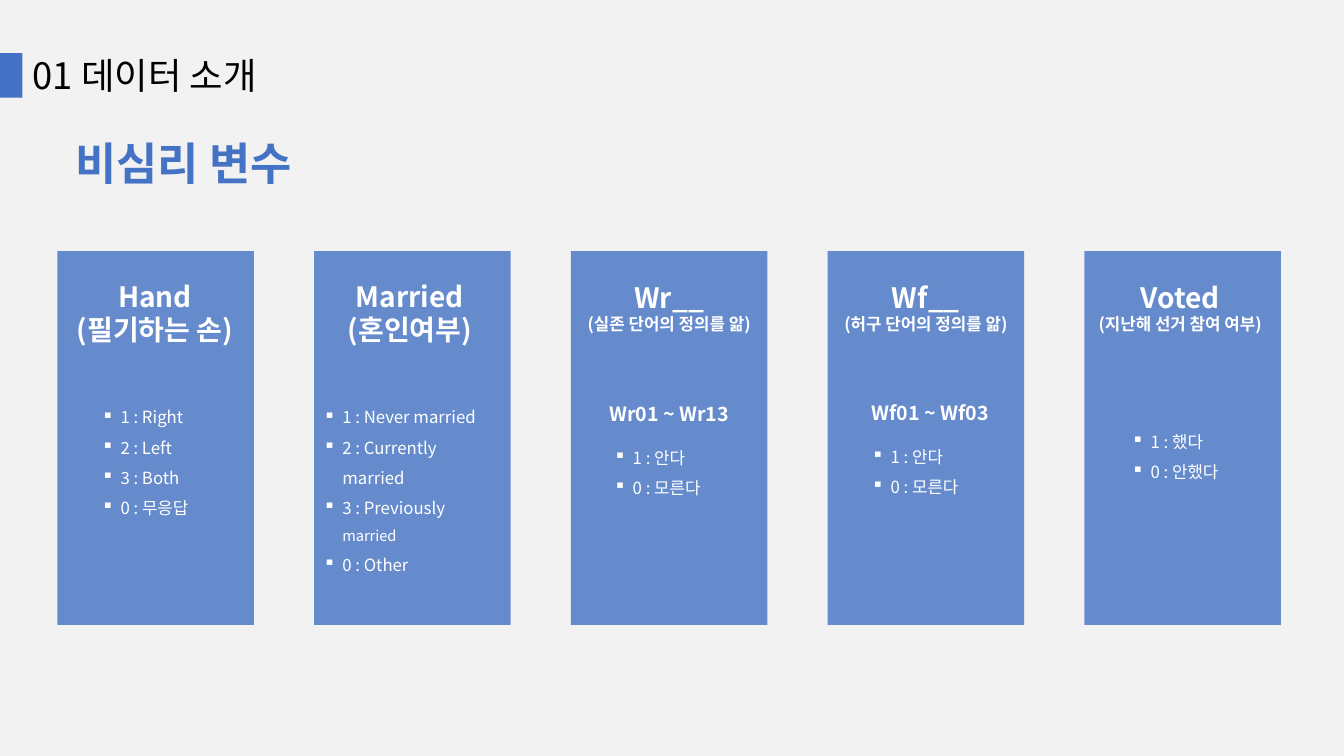
import pptx
import pptx.dml.color
import pptx.enum.shapes
import pptx.enum.text
import pptx.oxml
import pptx.oxml.ns
import pptx.util
from lxml import etree

Pt = pptx.util.Pt
RGBColor = pptx.dml.color.RGBColor
PP_ALIGN = pptx.enum.text.PP_ALIGN
qn = pptx.oxml.ns.qn

BLUE = RGBColor(0x44, 0x72, 0xC4)
PALE_GREY = RGBColor(0xF2, 0xF2, 0xF2)
BLACK = RGBColor(0, 0, 0)
WHITE = RGBColor(0xFF, 0xFF, 0xFF)
FONT = "Noto Sans CJK KR"

CARD_LEFT, CARD_TOP = 41, 179.3
CARD_WIDTH, CARD_HEIGHT = 140.4, 267.1
CARD_PITCH = 183.4
BULLET_INDENT = 13.5

# Boxes are (offset from the card's left, top, width, height).
VARIABLES = [
    dict(heading=["Hand", "(필기하는 손)"], note_size=20,
         heading_box=(1.4, 195.8, 136.8, 55.4),
         codes=["1 : Right", "2 : Left", "3 : Both", "0 : 무응답"],
         codes_box=(24.5, 280, 118, 93)),
    dict(heading=["Married", "(혼인여부)"], note_size=20,
         heading_box=(0, 195.8, 136.8, 55.4),
         codes=["1 : Never married", "2 : Currently married",
                ("3 : Previously ", "married"), "0 : Other"],
         codes_box=(-0.5, 280, 140.4, 93)),
    dict(heading=["Wr__", "(실존 단어의 정의를 앎)"], note_size=12,
         heading_box=(0, 196.6, 140.4, 46),
         items="Wr01 ~ Wr13", items_box=(0, 283.7, 140.4, 24.5),
         codes=["1 : 안다", "0 : 모른다"],
         codes_box=(23.6, 308.9, 113, 49)),
    dict(heading=["Wf__", "(허구 단어의 정의를 앎)"], note_size=12,
         heading_box=(0, 196.6, 140.4, 46),
         items="Wf01 ~ Wf03", items_box=(0, 283, 146.9, 24.5),
         codes=["1 : 안다", "0 : 모른다"],
         codes_box=(24.4, 308.2, 117.4, 49)),
    dict(heading=["Voted", "(지난해 선거 참여 여부)"], note_size=12,
         heading_box=(0, 196.6, 136.8, 46),
         codes=["1 : 했다", "0 : 안했다"],
         codes_box=(26.7, 297.4, 117.4, 49)),
]


def format_run(run, size, color, bold=False):
    run.font.size = Pt(size)
    run.font.bold = bold
    run.font.color.rgb = color
    run.font.name = FONT
    east_asian = etree.SubElement(run.font._element, qn("a:ea"))
    east_asian.set("typeface", FONT)


def prepare_frame(frame, text):
    frame.word_wrap = True
    frame.auto_size = pptx.enum.text.MSO_AUTO_SIZE.SHAPE_TO_FIT_TEXT
    frame.vertical_anchor = pptx.enum.text.MSO_ANCHOR.TOP
    frame.text = text


def add_block(slide, box, color, alpha=None):
    block = slide.shapes.add_shape(
        pptx.enum.shapes.MSO_SHAPE.RECTANGLE, *map(Pt, box))
    block.shadow.inherit = False
    block.line.fill.background()
    block.fill.solid()
    block.fill.fore_color.rgb = color
    if alpha is not None:
        rgb = block.fill._xPr.find(".//" + qn("a:srgbClr"))
        etree.SubElement(rgb, qn("a:alpha")).set("val", str(alpha * 1000))


def add_lines(slide, box, lines, sizes, color=WHITE, align=PP_ALIGN.CENTER):
    """Add a box of bold lines, each with its own size."""
    frame = slide.shapes.add_textbox(*map(Pt, box)).text_frame
    prepare_frame(frame, "\n".join(lines))
    for paragraph, size in zip(frame.paragraphs, sizes):
        paragraph.alignment = align
        format_run(paragraph.runs[0], size, color, bold=True)


def add_codes(slide, box, codes):
    """Add bulleted codes; the second part of a pair is set smaller."""
    frame = slide.shapes.add_textbox(*map(Pt, box)).text_frame
    parts = [(code,) if isinstance(code, str) else code for code in codes]
    prepare_frame(frame, "\n".join(part[0] for part in parts))
    for paragraph, (_, *small) in zip(frame.paragraphs, parts):
        properties = paragraph._p.get_or_add_pPr()
        properties.set("marL", str(Pt(BULLET_INDENT)))
        properties.set("indent", str(-Pt(BULLET_INDENT)))
        etree.SubElement(properties, qn("a:buChar")).set("char", "▪")
        paragraph.line_spacing = 1.5
        format_run(paragraph.runs[0], 12, WHITE)
        for text in small:
            run = paragraph.add_run()
            run.text = text
            format_run(run, 10.5, WHITE)


def set_title(slide, text):
    title = slide.shapes.title
    title.left, title.top, title.width, title.height = map(
        Pt, (16, 34.6, 480, 39))
    prepare_frame(title.text_frame, text)
    paragraph = title.text_frame.paragraphs[0]
    paragraph.alignment = PP_ALIGN.LEFT
    format_run(paragraph.runs[0], 26, BLACK)


def add_variable(slide, left, variable):
    def place(box):
        return (left + box[0], *box[1:])

    add_block(slide, (left, CARD_TOP, CARD_WIDTH, CARD_HEIGHT), BLUE, alpha=80)
    add_lines(slide, place(variable["heading_box"]), variable["heading"],
              [20, variable["note_size"]])
    if "items" in variable:
        add_lines(slide, place(variable["items_box"]), [variable["items"]], [14])
    add_codes(slide, place(variable["codes_box"]), variable["codes"])


def main():
    presentation = pptx.Presentation()
    presentation.slide_width = Pt(960)
    presentation.slide_height = Pt(540)
    slide = presentation.slides.add_slide(presentation.slide_layouts[5])
    slide.background.fill.solid()
    slide.background.fill.fore_color.rgb = PALE_GREY

    add_block(slide, (0, 38, 16, 31.7), BLUE)
    set_title(slide, "01 데이터 소개")
    add_lines(slide, (46.8, 93.6, 538.6, 46), ["비심리 변수"], [32],
              BLUE, PP_ALIGN.LEFT)
    for column, variable in enumerate(VARIABLES):
        add_variable(slide, CARD_LEFT + column * CARD_PITCH, variable)

    presentation.save("out.pptx")


if __name__ == "__main__":
    main()
